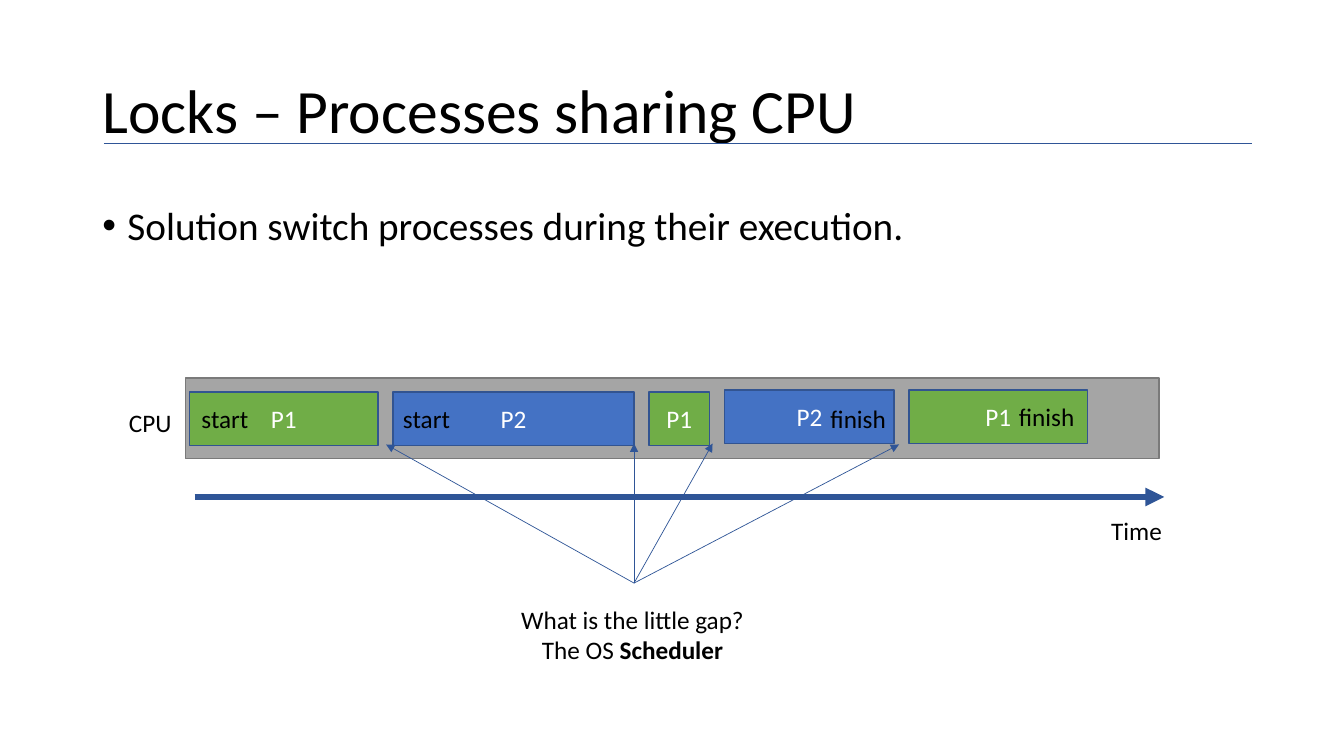
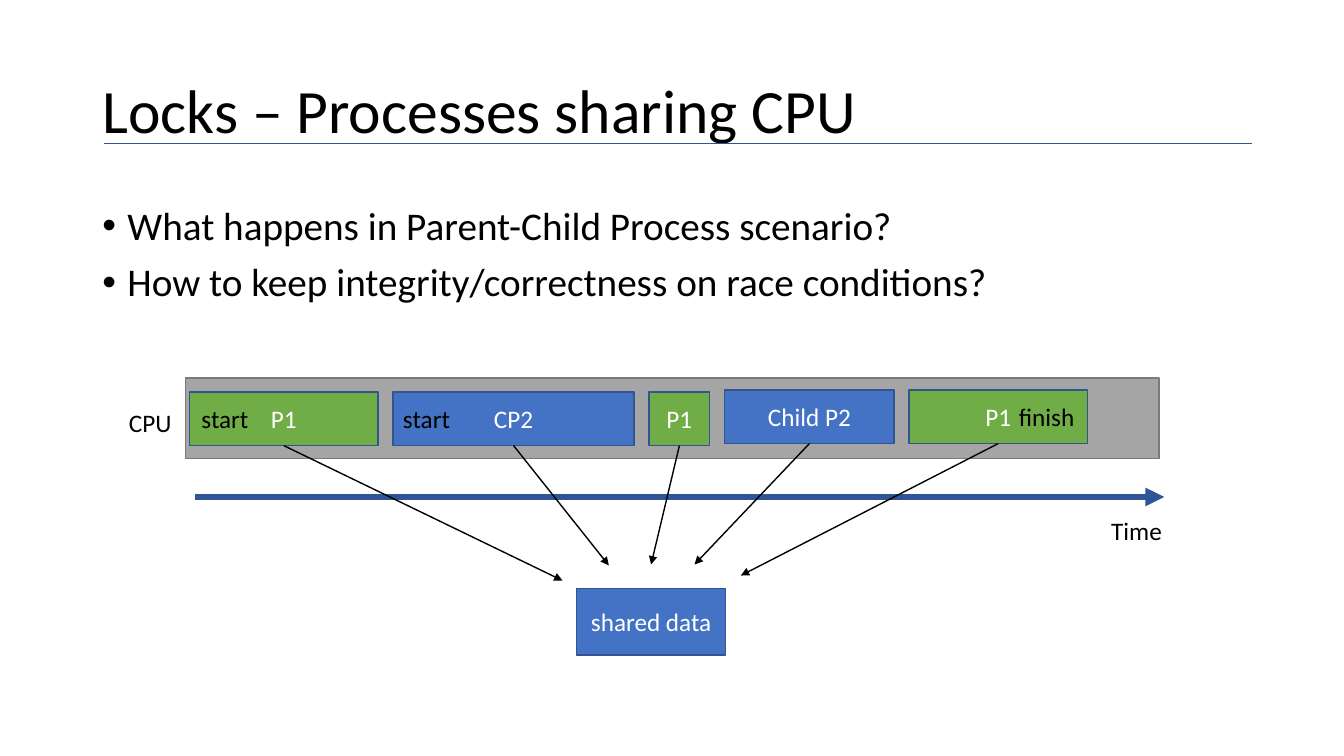
from dataclasses import dataclass

from lxml import etree
from pptx import Presentation
from pptx.dml.color import RGBColor
from pptx.enum.shapes import MSO_CONNECTOR, MSO_SHAPE
from pptx.enum.text import MSO_ANCHOR, PP_ALIGN
from pptx.oxml.ns import qn
from pptx.util import Pt

RECTANGLE = MSO_SHAPE.RECTANGLE
STRAIGHT = MSO_CONNECTOR.STRAIGHT
TOP, MIDDLE = MSO_ANCHOR.TOP, MSO_ANCHOR.MIDDLE
LEFT, CENTER = PP_ALIGN.LEFT, PP_ALIGN.CENTER

FONT = "Calibri"
BLACK, WHITE = "000000", "FFFFFF"
GREEN, BLUE, GRAY = "70AD47", "4472C4", "A5A5A5"
BLOCK_EDGE, GRAY_EDGE, RULE_BLUE = "325491", "7A7A7A", "2F5597"

TITLE = "Locks – Processes sharing CPU"
BLOCK_HEIGHT = 38.2
HIGH_TOP, LOW_TOP = 278.6, 280.1


@dataclass(frozen=True)
class Run:
    text: str
    bold: bool = False


@dataclass(frozen=True)
class Box:
    left: float
    top: float
    width: float
    height: float

    @property
    def bottom_center(self) -> tuple[float, float]:
        return self.left + self.width / 2, self.top + self.height


@dataclass(frozen=True)
class Block:
    box: Box
    fill: str


@dataclass(frozen=True)
class Label:
    text: str
    box: Box
    align: PP_ALIGN = LEFT


BLOCKS = [
    Block(Box(135.4, LOW_TOP, 134.6, BLOCK_HEIGHT), GREEN),
    Block(Box(280.8, LOW_TOP, 172.1, BLOCK_HEIGHT), BLUE),
    Block(Box(463.7, LOW_TOP, 43.2, BLOCK_HEIGHT), GREEN),
    Block(Box(517.7, HIGH_TOP, 121, BLOCK_HEIGHT), BLUE),
    Block(Box(649.4, HIGH_TOP, 127.4, BLOCK_HEIGHT), GREEN),
]
SHARED_LABELS = [
    Label("CPU", Box(85, 287.3, 47.5, 29)),
    Label("Time", Box(741.6, 364.3, 140.4, 29), CENTER),
    Label("start", Box(136.8, 284.4, 68.4, 29)),
    Label("start", Box(280.8, 284.4, 62.6, 29)),
    Label("finish", Box(720.7, 283, 68.4, 29)),
]
P2_FINISH = Label("finish", Box(586.1, 284.4, 68.4, 29))

GAP_ORIGIN = (452.9, 416.5)
GAP_TARGETS = [(275.8, 317.5), (452.9, 316.8), (509, 316.8), (642.2, 317.5)]
SHARED_DATA = Block(Box(411.8, 420.5, 106.6, 47.5), BLUE)
DATA_TARGETS = [(401.8, 414.7), (434.9, 403.9), (465.1, 403.2),
                (496.1, 403.2), (529.2, 411.1)]


# Basic drawing functions
def color(value: str) -> RGBColor:
    return RGBColor.from_string(value)


def write_paragraph(paragraph, runs: list[Run], size: float, ink: str, align: PP_ALIGN) -> None:
    paragraph.alignment = align
    for part in runs:
        run = paragraph.add_run()
        run.text = part.text
        run.font.name = FONT
        run.font.size = Pt(size)
        run.font.bold = part.bold
        run.font.color.rgb = color(ink)


def add_text(slide, box: Box, paragraphs: list[list[Run]], size: float = 18,
             align: PP_ALIGN = LEFT, anchor: MSO_ANCHOR = TOP):
    shape = slide.shapes.add_textbox(Pt(box.left), Pt(box.top), Pt(box.width), Pt(box.height))
    frame = shape.text_frame
    frame.word_wrap = True
    frame.vertical_anchor = anchor
    for index, runs in enumerate(paragraphs):
        paragraph = frame.add_paragraph() if index else frame.paragraphs[0]
        write_paragraph(paragraph, runs, size, BLACK, align)
    return frame


def add_rectangle(slide, box: Box, fill: str, edge: str, text: str = "") -> None:
    shape = slide.shapes.add_shape(RECTANGLE, Pt(box.left), Pt(box.top), Pt(box.width), Pt(box.height))
    shape.shadow.inherit = False
    shape.fill.solid()
    shape.fill.fore_color.rgb = color(fill)
    shape.line.color.rgb = color(edge)
    shape.line.width = Pt(1)
    if text:
        shape.text_frame.vertical_anchor = MIDDLE
        write_paragraph(shape.text_frame.paragraphs[0], [Run(text)], 18, WHITE, CENTER)


def add_line(slide, start: tuple[float, float], end: tuple[float, float],
             ink: str, width: float, arrow: bool = True) -> None:
    connector = slide.shapes.add_connector(STRAIGHT, *(Pt(value) for value in (*start, *end)))
    connector.line.color.rgb = color(ink)
    connector.line.width = Pt(width)
    properties = connector._element.spPr
    if arrow:
        etree.SubElement(properties.find(qn("a:ln")), qn("a:tailEnd"), type="triangle")
    etree.SubElement(properties, qn("a:effectLst"))


# Parts shared by the slides
def add_bullets(slide, bullets: list[str]) -> None:
    frame = add_text(slide, Box(66, 144, 828, 100), [[Run(text)] for text in bullets], 28)
    for paragraph in frame.paragraphs:
        paragraph.line_spacing = 0.9
        paragraph.space_before = Pt(10)
        properties = paragraph._p.get_or_add_pPr()
        properties.set("marL", str(Pt(18)))
        properties.set("indent", str(Pt(-18)))
        etree.SubElement(properties, qn("a:buFont"), typeface="Arial")
        etree.SubElement(properties, qn("a:buChar"), char="•")


def add_label(slide, label: Label) -> None:
    add_text(slide, label.box, [[Run(label.text)]], align=label.align)


def add_schedule_slide(presentation, bullets: list[str], names: list[str]):
    slide = presentation.slides.add_slide(presentation.slide_layouts[6])
    # Title and bullets
    title = add_text(slide, Box(66, 28.8, 828, 104.4), [[Run(TITLE)]], 44, anchor=MIDDLE)
    title.paragraphs[0].line_spacing = 0.9
    add_line(slide, (74.2, 102.2), (894.2, 102.2), RULE_BLUE, 0.5, arrow=False)
    add_bullets(slide, bullets)
    # Processor bar, process blocks and time axis
    add_rectangle(slide, Box(132.5, 270, 695.5, 57.6), GRAY, GRAY_EDGE)
    for block, name in zip(BLOCKS, names):
        add_rectangle(slide, block.box, block.fill, BLOCK_EDGE, name)
    add_line(slide, (139, 355), (831.6, 355), RULE_BLUE, 4.5)
    for label in SHARED_LABELS:
        add_label(slide, label)
    return slide


# Slides
def add_switching_slide(presentation) -> None:
    slide = add_schedule_slide(
        presentation,
        ["Solution switch processes during their execution."],
        ["P1", "P2", "P1", "P2", "P1"],
    )
    add_label(slide, P2_FINISH)
    for target in GAP_TARGETS:
        add_line(slide, GAP_ORIGIN, target, RULE_BLUE, 0.5)
    add_text(
        slide, Box(272.2, 427.7, 359.3, 51),
        [[Run("What is the little gap?")], [Run("The OS "), Run("Scheduler", bold=True)]],
        align=CENTER, anchor=MIDDLE,
    )


def add_shared_data_slide(presentation) -> None:
    slide = add_schedule_slide(
        presentation,
        ["What happens in Parent-Child Process scenario?",
         "How to keep integrity/correctness on race conditions?"],
        ["P1", "CP2", "P1", "Child P2", "P1"],
    )
    add_rectangle(slide, SHARED_DATA.box, SHARED_DATA.fill, BLOCK_EDGE, "shared data")
    for block, target in zip(BLOCKS, DATA_TARGETS):
        add_line(slide, block.box.bottom_center, target, BLACK, 1)


def main() -> None:
    presentation = Presentation()
    presentation.slide_width = Pt(960)
    presentation.slide_height = Pt(540)
    add_switching_slide(presentation)
    add_shared_data_slide(presentation)
    presentation.save("out.pptx")


if __name__ == "__main__":
    main()
